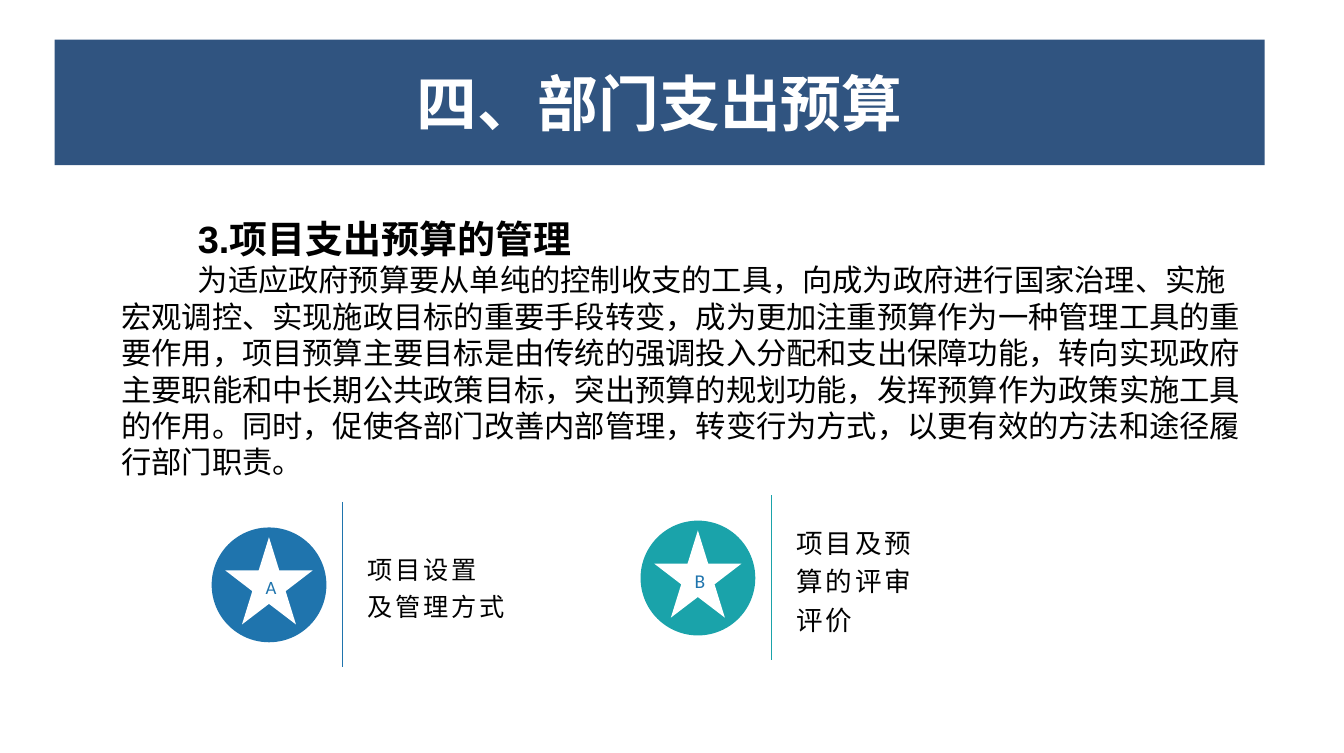
from dataclasses import dataclass

from lxml.etree import SubElement
from pptx import Presentation
from pptx.dml.color import RGBColor
from pptx.enum.shapes import MSO_CONNECTOR, MSO_SHAPE
from pptx.enum.text import MSO_ANCHOR, PP_ALIGN
from pptx.oxml.ns import qn
from pptx.shapes.autoshape import Shape
from pptx.slide import Slide
from pptx.text.text import _Paragraph as Paragraph
from pptx.util import Pt

COLORS = {
    "banner": "305480",
    "blue": "1F74AD",
    "teal": "1AA3AA",
    "white": "FFFFFF",
    "black": "000000",
}
CHINESE_FONT = "Noto Sans CJK SC"
FIRST_LINE_INDENT = 40.3


@dataclass(frozen=True)
class Box:
    left: float
    top: float
    width: float
    height: float


@dataclass(frozen=True)
class TextStyle:
    font: str
    size: float
    color: str = "black"
    bold: bool = False
    spacing: float = 0


@dataclass(frozen=True)
class Topic:
    letter: str
    letter_size: float
    lines: tuple[str, ...]
    text_size: float
    color: str
    left: float
    top: float


TOPICS = (
    Topic("A", 9.9, ("项目设置", "及管理方式"), 13.3, "blue", 111.6, 277.9),
    Topic("B", 10.3, ("项目及预算的评审评价",), 14, "teal", 337.7, 274.3),
)
HEADING = "3.项目支出预算的管理"
BODY = (
    "为适应政府预算要从单纯的控制收支的工具，向成为政府进行国家治理、实施"
    "宏观调控、实现施政目标的重要手段转变，成为更加注重预算作为一种管理工具的"
    "重要作用，项目预算主要目标是由传统的强调投入分配和支出保障功能，转向实现"
    "政府主要职能和中长期公共政策目标，突出预算的规划功能，发挥预算作为政策实施"
    "工具的作用。同时，促使各部门改善内部管理，转变行为方式，以更有效的方法和"
    "途径履行部门职责。"
)


def color(name: str) -> RGBColor:
    return RGBColor.from_string(COLORS[name])


def add_run(paragraph: Paragraph, text: str, style: TextStyle) -> None:
    run = paragraph.add_run()
    run.text = text
    run.font.size = Pt(style.size)
    run.font.bold = style.bold
    run.font.color.rgb = color(style.color)
    run.font.name = style.font
    properties = run.font._element
    SubElement(properties, qn("a:ea")).set("typeface", style.font)
    if style.spacing:
        properties.set("spc", str(round(style.spacing * 100)))


def add_filled_shape(slide: Slide, kind: MSO_SHAPE, box: Box, fill: str) -> Shape:
    shape = slide.shapes.add_shape(
        kind, Pt(box.left), Pt(box.top), Pt(box.width), Pt(box.height)
    )
    shape.shadow.inherit = False
    shape.fill.solid()
    shape.fill.fore_color.rgb = color(fill)
    shape.line.fill.background()
    return shape


def add_centered_text(shape: Shape, text: str, style: TextStyle) -> None:
    shape.text_frame.vertical_anchor = MSO_ANCHOR.MIDDLE
    paragraph = shape.text_frame.paragraphs[0]
    paragraph.alignment = PP_ALIGN.CENTER
    add_run(paragraph, text, style)


def add_text_box(slide: Slide, box: Box) -> Shape:
    shape = slide.shapes.add_textbox(
        Pt(box.left), Pt(box.top), Pt(box.width), Pt(box.height)
    )
    shape.text_frame.word_wrap = True
    return shape


def add_divider(slide: Slide, left: float, top: float, height: float, name: str) -> None:
    divider = slide.shapes.add_connector(
        MSO_CONNECTOR.STRAIGHT, Pt(left), Pt(top), Pt(left), Pt(top + height)
    )
    divider.line.color.rgb = color(name)
    divider.line.width = Pt(0.5)
    SubElement(divider._element.spPr, qn("a:effectLst"))


def add_banner(slide: Slide) -> None:
    banner = add_filled_shape(
        slide, MSO_SHAPE.RECTANGLE, Box(28.8, 20.9, 637.9, 66.2), "banner"
    )
    add_centered_text(
        banner, "四、部门支出预算", TextStyle(CHINESE_FONT, 32, "white", bold=True)
    )


def add_body(slide: Slide) -> None:
    frame = add_text_box(slide, Box(56.9, 110.2, 606, 147.6)).text_frame
    heading = frame.paragraphs[0]
    body = frame.add_paragraph()
    for paragraph in (heading, body):
        paragraph._element.get_or_add_pPr().set("indent", str(Pt(FIRST_LINE_INDENT)))
    add_run(heading, HEADING, TextStyle("Arial", 20, bold=True))
    add_run(body, BODY, TextStyle("Calibri", 16))


def add_topic(slide: Slide, topic: Topic) -> None:
    left, top = topic.left, topic.top

    # Badge: a lettered star on a disc
    add_filled_shape(slide, MSO_SHAPE.OVAL, Box(left, top, 60.5, 60.5), topic.color)
    star = add_filled_shape(
        slide, MSO_SHAPE.STAR_5_POINT, Box(left + 7.2, top + 5.1, 46, 46), "white"
    )
    add_centered_text(
        star, topic.letter, TextStyle("Calibri", topic.letter_size, "blue")
    )

    # Divider and label
    add_divider(slide, left + 68.9, top - 13.5, 87.1, topic.color)
    label = add_text_box(slide, Box(left + 74.9, top - 7.9, 90, 76.3))
    label.text_frame.vertical_anchor = MSO_ANCHOR.MIDDLE
    paragraph = label.text_frame.paragraphs[0]
    paragraph.line_spacing = 1.2
    style = TextStyle(CHINESE_FONT, topic.text_size, spacing=1.5)
    for index, line in enumerate(topic.lines):
        if index:
            paragraph.add_line_break()
        add_run(paragraph, line, style)


def main() -> None:
    presentation = Presentation()
    presentation.slide_width = Pt(708.5)
    presentation.slide_height = Pt(396.7)
    slide = presentation.slides.add_slide(presentation.slide_layouts[6])

    add_banner(slide)
    add_body(slide)
    for topic in TOPICS:
        add_topic(slide, topic)

    presentation.save("out.pptx")


if __name__ == "__main__":
    main()
